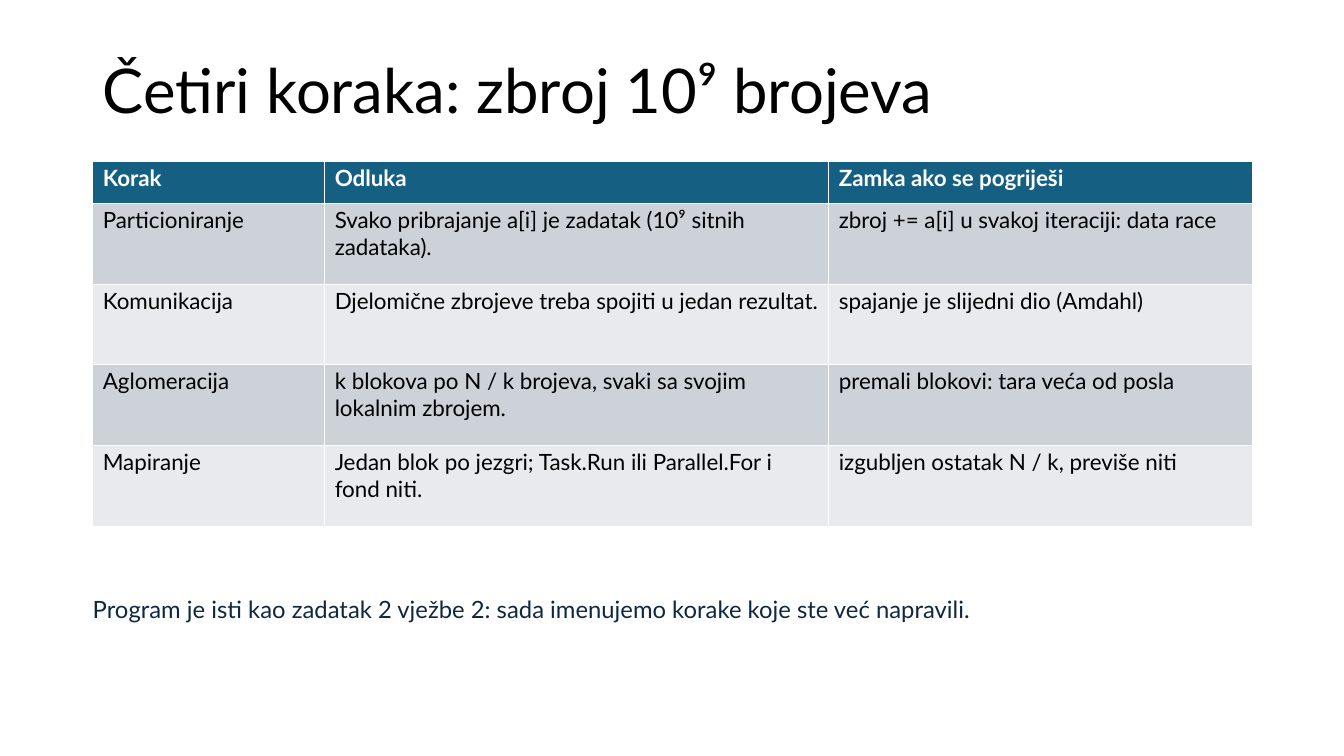
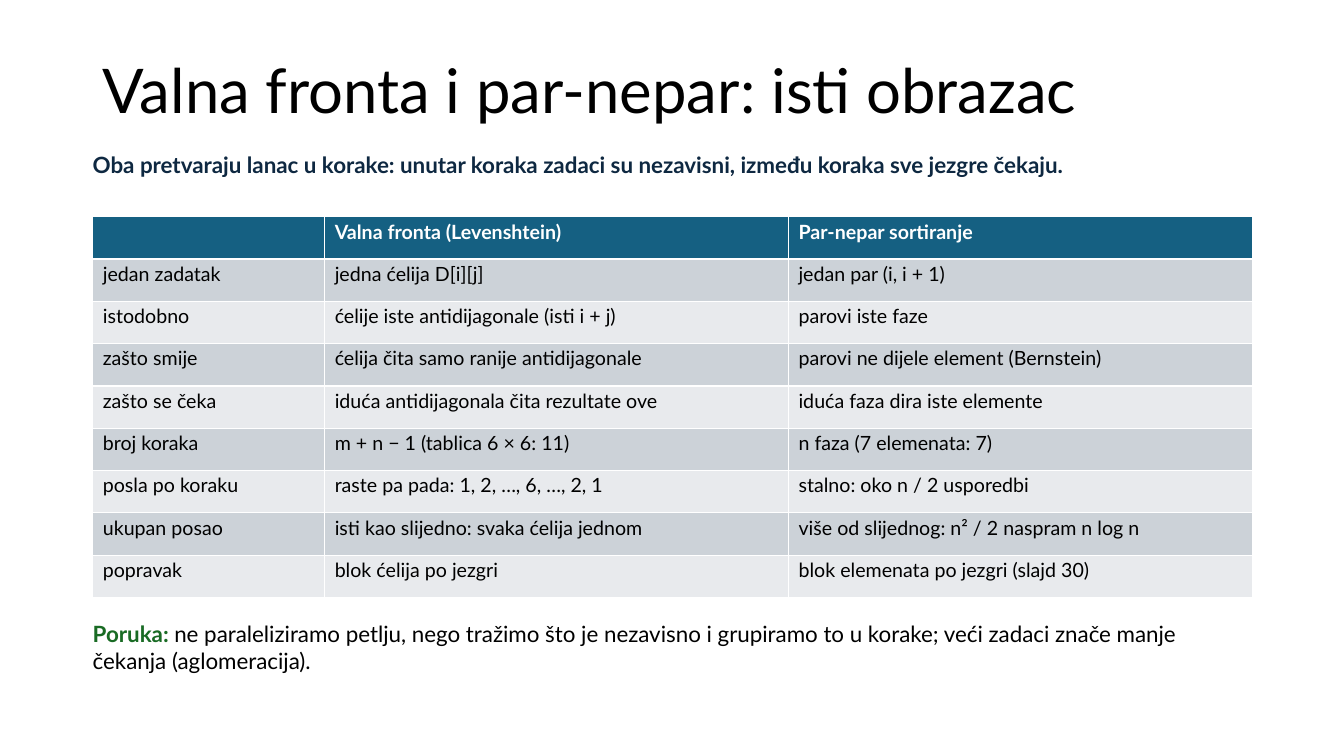
from dataclasses import dataclass

from pptx import Presentation
from pptx.dml.color import RGBColor
from pptx.enum.text import MSO_ANCHOR, MSO_AUTO_SIZE
from pptx.slide import Slide
from pptx.text.text import Font
from pptx.util import Emu, Pt

# Shared style: 100 px to the inch
EMU_PER_PX = 9144
FONT = "Lato"
BLACK, WHITE, NAVY, GREEN = "000000", "FFFFFF", "0E2841", "196B24"
HEADER_FILL = "156082"
BAND_FILLS = ("E8EAED", "CCD2D8")  # even rows, odd rows
LEFT, WIDTH = 92, 1150
HEADER_HEIGHT = 42


@dataclass(frozen=True)
class Span:
    text: str
    color: str = BLACK
    bold: bool = False


@dataclass(frozen=True)
class Note:
    top: int
    height: int
    size: int
    spans: tuple[Span, ...]


@dataclass(frozen=True)
class Grid:
    top: int
    widths: tuple[int, ...]
    row_height: int
    size: int
    rows: tuple[tuple[str, ...], ...]


@dataclass(frozen=True)
class Page:
    title: str
    grid: Grid
    notes: tuple[Note, ...]


def px(length: int) -> Emu:
    return Emu(length * EMU_PER_PX)


def rgb(color: str) -> RGBColor:
    return RGBColor.from_string(color)


def style(font: Font, size: int, color: str, bold: bool = False) -> None:
    font.name, font.size, font.bold = FONT, Pt(size), bold
    font.color.rgb = rgb(color)


def draw_title(slide: Slide, title: str) -> None:
    frame = slide.shapes.add_textbox(px(LEFT), px(40), px(WIDTH), px(106)).text_frame
    frame.word_wrap = True
    frame.vertical_anchor = MSO_ANCHOR.MIDDLE
    heading = frame.paragraphs[0]
    heading.text = title
    heading.line_spacing = 0.9
    style(heading.font, 44, BLACK)


def draw_note(slide: Slide, note: Note) -> None:
    frame = slide.shapes.add_textbox(
        px(LEFT), px(note.top), px(WIDTH), px(note.height)).text_frame
    frame.word_wrap = True
    frame.auto_size = MSO_AUTO_SIZE.SHAPE_TO_FIT_TEXT
    frame.margin_left = frame.margin_right = frame.margin_top = frame.margin_bottom = 0
    sentence = frame.paragraphs[0]
    first = note.spans[0]
    style(sentence.font, note.size, first.color, first.bold)
    for span in note.spans:
        run = sentence.add_run()
        run.text = span.text
        if len(note.spans) > 1:
            run.font.bold = span.bold
            run.font.color.rgb = rgb(span.color)


def draw_grid(slide: Slide, grid: Grid) -> None:
    heights = [HEADER_HEIGHT] + [grid.row_height] * (len(grid.rows) - 1)
    table = slide.shapes.add_table(
        len(grid.rows), len(grid.widths),
        px(LEFT), px(grid.top), px(WIDTH), px(sum(heights))).table
    for column, width in zip(table.columns, grid.widths):
        column.width = px(width)
    for r, (row, height, texts) in enumerate(zip(table.rows, heights, grid.rows)):
        row.height = px(height)
        is_header = r == 0
        for cell, text in zip(row.cells, texts):
            cell.margin_left = cell.margin_right = px(10)
            cell.margin_top = cell.margin_bottom = px(3)
            cell.fill.solid()
            cell.fill.fore_color.rgb = rgb(HEADER_FILL if is_header else BAND_FILLS[r % 2])
            entry = cell.text_frame.paragraphs[0]
            if text:
                entry.text = text
            style(entry.font, grid.size, WHITE if is_header else BLACK, is_header)


# Content
PAGES = (
    Page(
        "Četiri koraka: zbroj 10⁹ brojeva",
        Grid(160, (230, 500, 420), 80, 16, (
            ("Korak", "Odluka", "Zamka ako se pogriješi"),
            ("Particioniranje", "Svako pribrajanje a[i] je zadatak (10⁹ sitnih zadataka).",
             "zbroj += a[i] u svakoj iteraciji: data race"),
            ("Komunikacija", "Djelomične zbrojeve treba spojiti u jedan rezultat.",
             "spajanje je slijedni dio (Amdahl)"),
            ("Aglomeracija", "k blokova po N / k brojeva, svaki sa svojim lokalnim zbrojem.",
             "premali blokovi: tara veća od posla"),
            ("Mapiranje", "Jedan blok po jezgri; Task.Run ili Parallel.For i fond niti.",
             "izgubljen ostatak N / k, previše niti"),
        )),
        (Note(590, 60, 17, (
            Span("Program je isti kao zadatak 2 vježbe 2: "
                 "sada imenujemo korake koje ste već napravili.", NAVY),)),),
    ),
    Page(
        "Valna fronta i par-nepar: isti obrazac",
        Grid(215, (230, 460, 460), 42, 14, (
            ("", "Valna fronta (Levenshtein)", "Par-nepar sortiranje"),
            ("jedan zadatak", "jedna ćelija D[i][j]", "jedan par (i, i + 1)"),
            ("istodobno", "ćelije iste antidijagonale (isti i + j)", "parovi iste faze"),
            ("zašto smije", "ćelija čita samo ranije antidijagonale",
             "parovi ne dijele element (Bernstein)"),
            ("zašto se čeka", "iduća antidijagonala čita rezultate ove",
             "iduća faza dira iste elemente"),
            ("broj koraka", "m + n − 1 (tablica 6 × 6: 11)", "n faza (7 elemenata: 7)"),
            ("posla po koraku", "raste pa pada: 1, 2, …, 6, …, 2, 1",
             "stalno: oko n / 2 usporedbi"),
            ("ukupan posao", "isti kao slijedno: svaka ćelija jednom",
             "više od slijednog: n² / 2 naspram n log n"),
            ("popravak", "blok ćelija po jezgri", "blok elemenata po jezgri (slajd 30)"),
        )),
        (
            Note(150, 50, 16, (
                Span("Oba pretvaraju lanac u korake: unutar koraka zadaci su nezavisni, "
                     "između koraka sve jezgre čekaju.", NAVY, True),)),
            Note(615, 90, 16, (
                Span("Poruka: ", GREEN, True),
                Span("ne paraleliziramo petlju, nego tražimo što je nezavisno i grupiramo "
                     "to u korake; veći zadaci znače manje čekanja (aglomeracija)."))),
        ),
    ),
)


def main() -> None:
    deck = Presentation()
    deck.slide_width, deck.slide_height = px(1333), px(750)
    blank = deck.slide_layouts[6]
    for page in PAGES:
        slide = deck.slides.add_slide(blank)
        draw_title(slide, page.title)
        draw_grid(slide, page.grid)
        for note in page.notes:
            draw_note(slide, note)
    deck.save("out.pptx")


if __name__ == "__main__":
    main()
